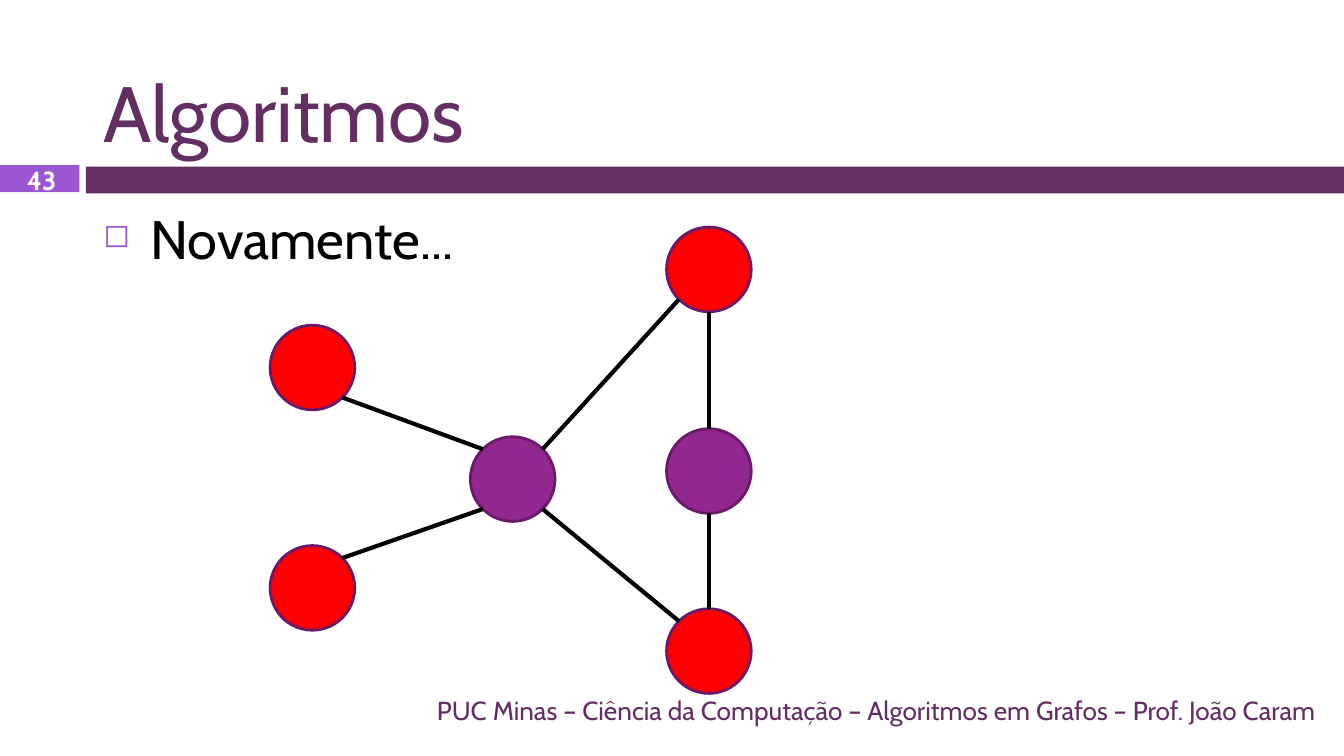
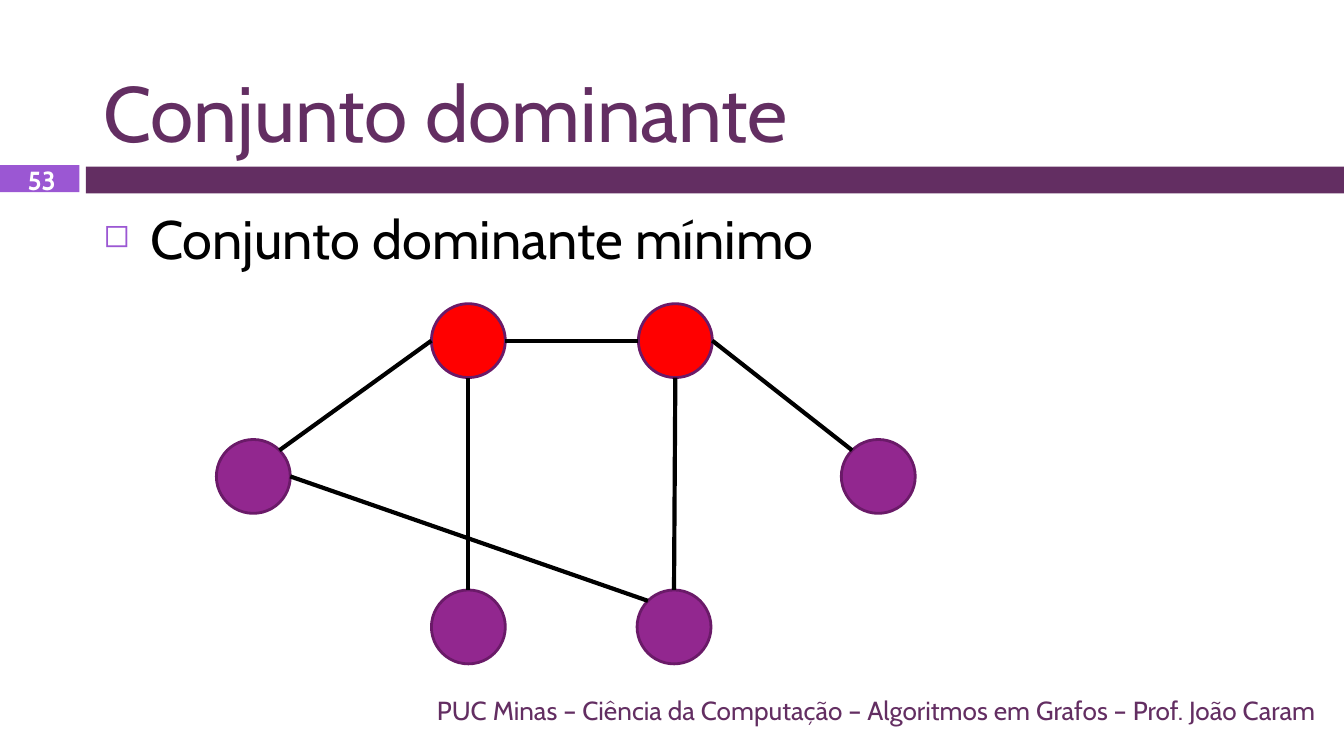
"""Build two slides that show dominating sets in graphs."""
import math

import pptx
import pptx.dml.color
import pptx.enum.shapes
import pptx.enum.text
import pptx.oxml
import pptx.oxml.ns
import pptx.util
from pptx.dml.color import RGBColor
from pptx.util import Inches

FONT = "Cabin"
PLUM = RGBColor(0x63, 0x2E, 0x62)
LILAC = RGBColor(0x9B, 0x57, 0xD3)
PURPLE = RGBColor(0x92, 0x27, 0x8F)
OUTLINE = RGBColor(0x6A, 0x1A, 0x68)
RED = RGBColor(0xFF, 0x00, 0x00)
BLACK = RGBColor(0x00, 0x00, 0x00)
WHITE = RGBColor(0xFF, 0xFF, 0xFF)

LEFT = pptx.enum.text.PP_ALIGN.LEFT
CENTER = pptx.enum.text.PP_ALIGN.CENTER
RIGHT = pptx.enum.text.PP_ALIGN.RIGHT
TOP = pptx.enum.text.MSO_ANCHOR.TOP
MIDDLE = pptx.enum.text.MSO_ANCHOR.MIDDLE
BOTTOM = pptx.enum.text.MSO_ANCHOR.BOTTOM
RECTANGLE = pptx.enum.shapes.MSO_SHAPE.RECTANGLE
OVAL = pptx.enum.shapes.MSO_SHAPE.OVAL
STRAIGHT = pptx.enum.shapes.MSO_CONNECTOR.STRAIGHT

FOOTER = "PUC Minas – Ciência da Computação – Algoritmos em Grafos – Prof. João Caram"
BANDS = [((0.64, 1.24, 9.37, 0.2), PLUM), ((0, 1.23, 0.59, 0.2), LILAC)]
ANGLES = {"E": 0, "SE": 45, "S": 90, "SW": 135, "W": 180, "NW": 225, "N": 270, "NE": 315}

SLIDES = [
    {
        "title": "Algoritmos",
        "bullet": "Novamente...",
        "number": "43",
        "diameter": 0.63,
        "nodes": {
            "upper left": (2.01, 2.42, RED),
            "lower left": (2.01, 4.06, RED),
            "hub": (3.5, 3.25, PURPLE),
            "top": (4.96, 1.69, RED),
            "middle": (4.96, 3.19, PURPLE),
            "bottom": (4.96, 4.53, RED),
        },
        "edges": [
            ("hub", "SW", "lower left", "NE"),
            ("hub", "NW", "upper left", "SE"),
            ("top", "SW", "hub", "NE"),
            ("bottom", "NW", "hub", "SE"),
            ("top", "S", "middle", "N"),
            ("middle", "S", "bottom", "N"),
        ],
    },
    {
        "title": "Conjunto dominante",
        "bullet": "Conjunto dominante mínimo",
        "number": "53",
        "diameter": 0.55,
        "nodes": {
            "top left": (3.21, 2.26, RED),
            "top right": (4.75, 2.26, RED),
            "far left": (1.61, 3.27, PURPLE),
            "far right": (6.26, 3.27, PURPLE),
            "bottom right": (4.74, 4.39, PURPLE),
            "bottom left": (3.21, 4.39, PURPLE),
        },
        "edges": [
            ("bottom right", "NW", "far left", "E"),
            ("top left", "W", "far left", "NE"),
            ("top right", "W", "top left", "E"),
            ("far right", "NW", "top right", "E"),
            ("bottom right", "N", "top right", "S"),
            ("bottom left", "N", "top left", "S"),
        ],
    },
]


def add_text(slide, box, text, size, color, align=LEFT, anchor=MIDDLE, bold=False):
    shape = slide.shapes.add_textbox(*map(Inches, box))
    frame = shape.text_frame
    frame.word_wrap = True
    frame.vertical_anchor = anchor
    paragraph = frame.paragraphs[0]
    paragraph.alignment = align
    run = paragraph.add_run()
    run.text = text
    run.font.name = FONT
    run.font.size = pptx.util.Pt(size)
    run.font.bold = bold
    run.font.color.rgb = color
    return frame


def add_filled(slide, preset, box, color):
    shape = slide.shapes.add_shape(preset, *map(Inches, box))
    shape.shadow.inherit = False
    shape.fill.solid()
    shape.fill.fore_color.rgb = color
    shape.line.fill.background()
    return shape


presentation = pptx.Presentation()
presentation.slide_width = Inches(10)
presentation.slide_height = Inches(10 * 9 / 16)

for content in SLIDES:
    slide = presentation.slides.add_slide(presentation.slide_layouts[6])
    for box, color in BANDS:
        add_filled(slide, RECTANGLE, box, color)

    add_text(slide, (0.67, 0.13, 9.22, 1.1), content["title"], 42, PLUM, anchor=BOTTOM)

    body = add_text(slide, (0.67, 1.48, 9.22, 3.58), content["bullet"], 29, BLACK, anchor=TOP)
    properties = body.paragraphs[0]._p.get_or_add_pPr()
    properties.set("marL", str(Inches(0.35)))
    properties.set("indent", str(Inches(-0.35)))
    namespace = pptx.oxml.ns.nsdecls("a")
    for xml in (
        f'<a:buClr {namespace}><a:srgbClr val="{LILAC}"/></a:buClr>',
        f'<a:buSzPct {namespace} val="60000"/>',
        f'<a:buChar {namespace} char="◻"/>',
    ):
        properties.append(pptx.oxml.parse_xml(xml))

    add_text(slide, (0.02, 1.24, 0.58, 0.2), content["number"], 14, WHITE, CENTER, bold=True)
    add_text(slide, (0.67, 5.13, 9.22, 0.3), FOOTER, 14, PLUM, RIGHT)

    diameter = content["diameter"]
    radius = diameter / 2
    for left, top, color in content["nodes"].values():
        node = add_filled(slide, OVAL, (left, top, diameter, diameter), color)
        node.line.color.rgb = OUTLINE
        node.line.width = pptx.util.Pt(1.5)

    for start, start_side, end, end_side in content["edges"]:
        points = []
        for name, side in ((start, start_side), (end, end_side)):
            left, top, _ = content["nodes"][name]
            angle = math.radians(ANGLES[side])
            points.append(Inches(left + radius + radius * math.cos(angle)))
            points.append(Inches(top + radius + radius * math.sin(angle)))
        edge = slide.shapes.add_connector(STRAIGHT, *points)
        edge.line.color.rgb = BLACK
        edge.line.width = pptx.util.Pt(2.25)
        edge._element.spPr.append(pptx.oxml.parse_xml(f"<a:effectLst {namespace}/>"))

presentation.save("out.pptx")
